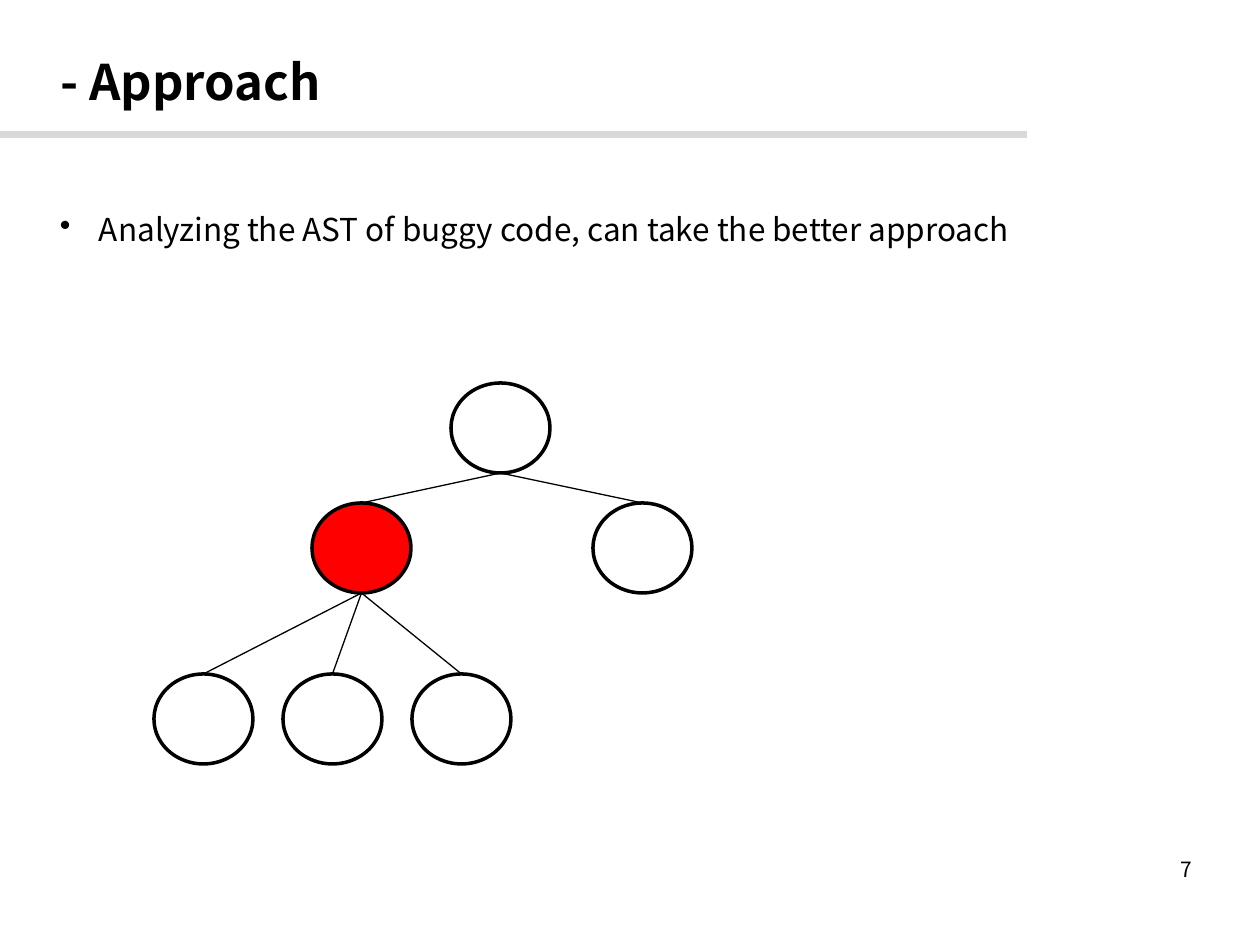
from dataclasses import dataclass
from typing import Optional

from lxml.etree import SubElement
from pptx import Presentation
from pptx.dml.color import RGBColor
from pptx.enum.shapes import MSO_CONNECTOR, MSO_SHAPE
from pptx.enum.text import MSO_ANCHOR, PP_ALIGN
from pptx.oxml.ns import qn
from pptx.shapes.autoshape import Shape
from pptx.slide import Slide
from pptx.util import Emu, Pt

PIXELS_PER_INCH = 126
NODE_WIDTH = 99
NODE_HEIGHT = 90
INSET = 6
BULLET_INDENT = 39


@dataclass(frozen=True)
class Theme:
    font: str = "Noto Sans CJK KR"
    ink: RGBColor = RGBColor(0, 0, 0)
    paper: RGBColor = RGBColor(255, 255, 255)
    rule: RGBColor = RGBColor(0xD9, 0xD9, 0xD9)
    buggy: RGBColor = RGBColor(255, 0, 0)
    title_size: int = 28
    body_size: int = 18
    number_size: int = 12
    node_line: float = 2
    edge_line: float = 0.75


@dataclass(frozen=True)
class TextBlock:
    text: str
    left: int
    top: int
    width: int
    height: int
    size: int
    bold: bool = False
    bullet: bool = False
    anchor: MSO_ANCHOR = MSO_ANCHOR.MIDDLE
    align: PP_ALIGN = PP_ALIGN.LEFT


@dataclass(frozen=True)
class Node:
    name: str
    left: int
    top: int
    parent: Optional[str] = None
    buggy: bool = False


THEME = Theme()

TEXTS = [
    TextBlock("- Approach", 54, 0, 1113, 161, THEME.title_size, bold=True),
    TextBlock("7", 905, 850, 293, 38, THEME.number_size, align=PP_ALIGN.RIGHT),
    TextBlock("Analyzing the AST of buggy code, can take the better approach",
              54, 204, 1160, 127, THEME.body_size, bullet=True, anchor=MSO_ANCHOR.TOP),
]

LEAF_LEFT, LEAF_STEP, LEAF_TOP = 154, 129, 674
TREE = [
    Node("root", 451, 383),
    Node("buggy", 312, 503, "root", buggy=True),
    Node("sibling", 593, 503, "root"),
    *(Node(f"leaf {index}", LEAF_LEFT + index * LEAF_STEP, LEAF_TOP, "buggy")
      for index in range(3)),
]


def px(length: int) -> Emu:
    return Emu(round(length * 914400 / PIXELS_PER_INCH))


def draw_text(slide: Slide, block: TextBlock) -> None:
    box = slide.shapes.add_textbox(px(block.left), px(block.top), px(block.width), px(block.height))
    frame = box.text_frame
    frame.word_wrap = True
    frame.vertical_anchor = block.anchor
    frame.margin_left = frame.margin_right = px(INSET)
    frame.margin_top = frame.margin_bottom = px(INSET)
    para = frame.paragraphs[0]
    para.alignment = block.align
    if block.bullet:
        properties = para._p.get_or_add_pPr()
        properties.set("marL", str(px(BULLET_INDENT)))
        properties.set("indent", str(-px(BULLET_INDENT)))
        SubElement(properties, qn("a:buChar")).set("char", "•")
    span = para.add_run()
    span.text = block.text
    span.font.name = THEME.font
    span.font.size = Pt(block.size)
    span.font.bold = block.bold
    span.font.color.rgb = THEME.ink


def draw_rule(slide: Slide) -> None:
    rule = slide.shapes.add_shape(MSO_SHAPE.RECTANGLE, 0, px(131), px(1027), px(7))
    rule.shadow.inherit = False
    rule.fill.solid()
    rule.fill.fore_color.rgb = THEME.rule
    rule.line.fill.background()


def draw_node(slide: Slide, node: Node) -> Shape:
    circle = slide.shapes.add_shape(
        MSO_SHAPE.OVAL, px(node.left), px(node.top), px(NODE_WIDTH), px(NODE_HEIGHT))
    circle.shadow.inherit = False
    circle.fill.solid()
    circle.fill.fore_color.rgb = THEME.buggy if node.buggy else THEME.paper
    circle.line.color.rgb = THEME.ink
    circle.line.width = Pt(THEME.node_line)
    return circle


def draw_edge(slide: Slide, parent: Shape, child: Shape) -> None:
    edge = slide.shapes.add_connector(
        MSO_CONNECTOR.STRAIGHT,
        parent.left + parent.width // 2, parent.top + parent.height,
        child.left + child.width // 2, child.top)
    edge.end_connect(child, 0)
    edge.line.color.rgb = THEME.ink
    edge.line.width = Pt(THEME.edge_line)
    SubElement(edge._element.spPr, qn("a:effectLst"))


def main() -> None:
    deck = Presentation()
    deck.slide_width, deck.slide_height = px(1260), px(945)
    page = deck.slides.add_slide(deck.slide_layouts[6])
    draw_rule(page)
    for block in TEXTS:
        draw_text(page, block)
    circles = {node.name: draw_node(page, node) for node in TREE}
    for node in TREE:
        if node.parent:
            draw_edge(page, circles[node.parent], circles[node.name])
    deck.save("out.pptx")


if __name__ == "__main__":
    main()
